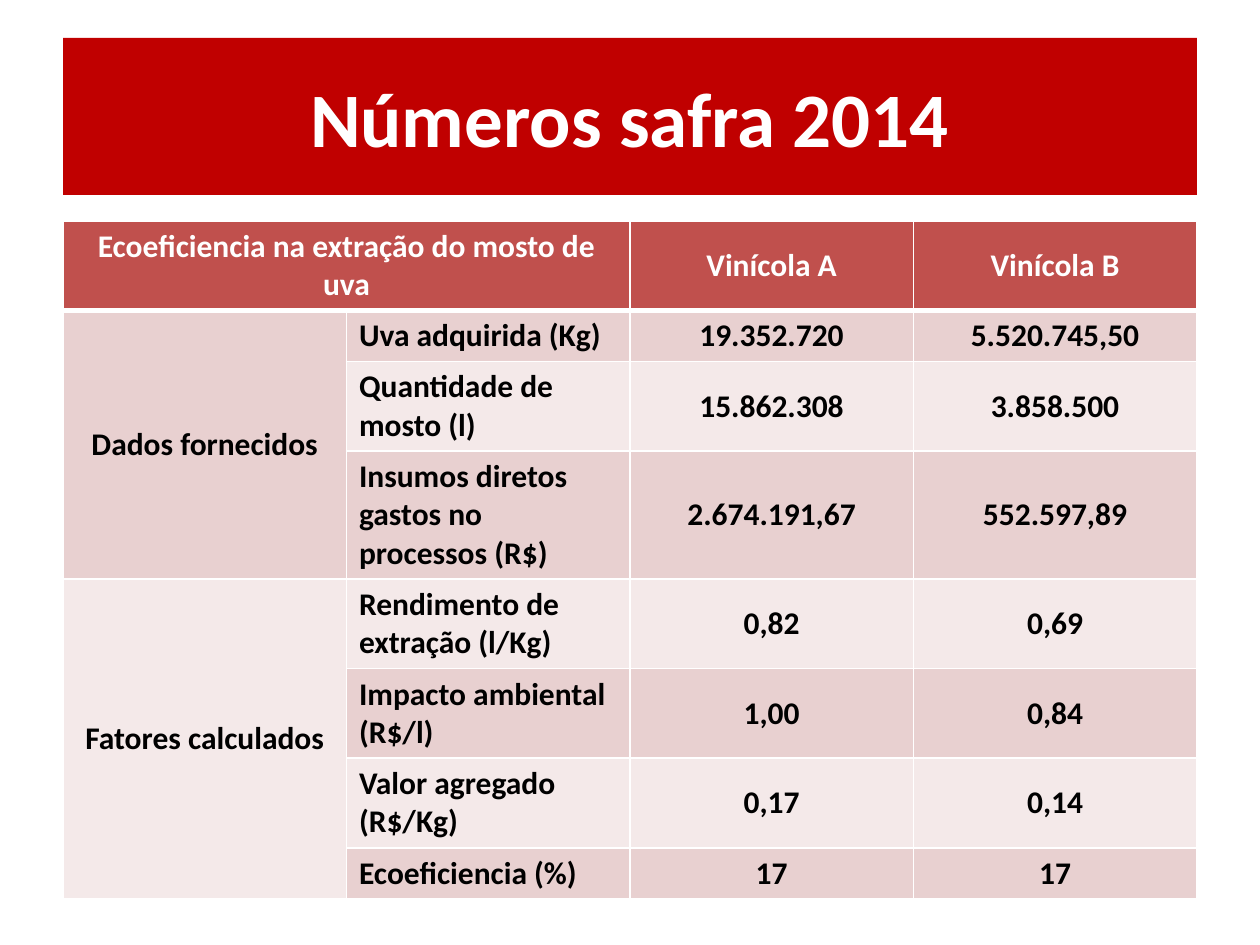
from lxml.etree import SubElement
from pptx import Presentation
from pptx.dml.color import RGBColor
from pptx.enum.text import MSO_ANCHOR, PP_ALIGN
from pptx.oxml.ns import qn
from pptx.util import Emu, Pt

PIXEL = 914400 // 126
WHITE = RGBColor(0xFF, 0xFF, 0xFF)
BLACK = RGBColor(0, 0, 0)
RED = RGBColor(0xC0, 0, 0)
HEADER = RGBColor(0xC0, 0x50, 0x4D)
BANDS = (RGBColor(0xF4, 0xE9, 0xE9), RGBColor(0xE8, 0xD0, 0xD0))

ROWS = [
    ("Ecoeficiencia na extração do mosto de uva", "", "Vinícola A", "Vinícola B"),
    ("Dados fornecidos", "Uva adquirida (Kg)", "19.352.720", "5.520.745,50"),
    ("", "Quantidade de mosto (l)", "15.862.308", "3.858.500"),
    ("", "Insumos diretos gastos no processos (R$)", "2.674.191,67", "552.597,89"),
    ("Fatores calculados", "Rendimento de extração (l/Kg)", "0,82", "0,69"),
    ("", "Impacto ambiental (R$/l)", "1,00", "0,84"),
    ("", "Valor agregado (R$/Kg)", "0,17", "0,14"),
    ("", "Ecoeficiencia (%)", "17", "17"),
]
MERGES = [((0, 0), (0, 1)), ((1, 0), (3, 0)), ((4, 0), (7, 0))]


def px(length):
    return Emu(length * PIXEL)


def write(frame, text, size=18, color=BLACK, align=PP_ALIGN.CENTER, font="Calibri"):
    paragraph = frame.paragraphs[0]
    paragraph.alignment = align
    span = paragraph.add_run()
    span.text = text
    span.font.name = font
    span.font.size = Pt(size)
    span.font.bold = True
    span.font.color.rgb = color


def add_borders(cell, color=WHITE, **widths):
    """Draw the cell's sides; widths are points keyed L, R, T and B."""
    properties = cell._tc.get_or_add_tcPr()
    for side in "LRTB":
        line = SubElement(properties, qn(f"a:ln{side}"), w=str(Pt(widths.get(side, 1))))
        fill = SubElement(line, qn("a:solidFill"))
        SubElement(fill, qn("a:srgbClr"), val=str(color))


class SlideBuilder:
    def __init__(self, page):
        self.page = page

    def title(self, text, left, top, width, height):
        box = self.page.shapes.title
        box.left, box.top, box.width, box.height = map(px, (left, top, width, height))
        box.fill.solid()
        box.fill.fore_color.rgb = RED
        box.text_frame.vertical_anchor = MSO_ANCHOR.MIDDLE
        write(box.text_frame, text, size=44, color=WHITE)

    def table(self, rows, merges, left, top, width, height, row_height):
        """Add a table whose rows start at row_height and grow with their text."""
        frame = self.page.shapes.add_table(
            len(rows), len(rows[0]), *map(px, (left, top, width, height)))
        table = frame.table
        for row in table.rows:
            row.height = px(row_height)
        frame.height = px(height)
        for start, end in merges:
            table.cell(*start).merge(table.cell(*end))
        for row, texts in enumerate(rows):
            for column, text in enumerate(texts):
                self.cell(table.cell(row, column), text, row, column)

    def cell(self, cell, text, row, column):
        is_header = row == 0
        is_label = column == 1 and not is_header
        add_borders(cell, T=3 if row == 1 else 1, B=3 if is_header else 1)
        cell.fill.solid()
        cell.fill.fore_color.rgb = HEADER if is_header else BANDS[row % 2]
        cell.vertical_anchor = MSO_ANCHOR.TOP if is_label else MSO_ANCHOR.MIDDLE
        if text:
            write(cell.text_frame, text, color=WHITE if is_header else BLACK,
                  align=PP_ALIGN.LEFT if is_label else PP_ALIGN.CENTER)


def main():
    deck = Presentation()
    deck.slide_width, deck.slide_height = px(1260), px(945)
    builder = SlideBuilder(deck.slides.add_slide(deck.slide_layouts[5]))
    builder.title("Números safra 2014", 63, 38, 1134, 157)
    builder.table(ROWS, MERGES, 63, 221, 1134, 669, row_height=51)
    deck.save("out.pptx")


if __name__ == "__main__":
    main()
